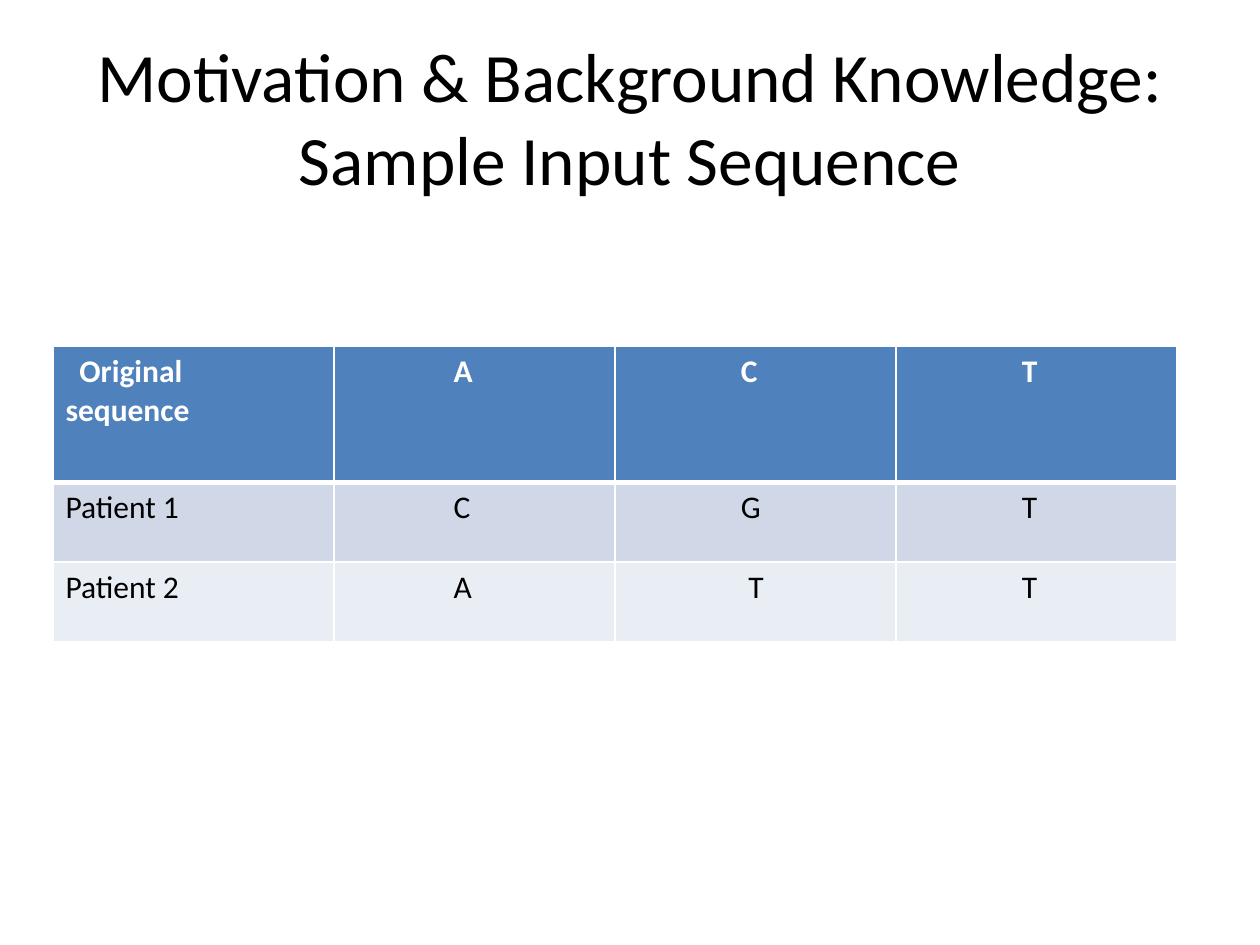
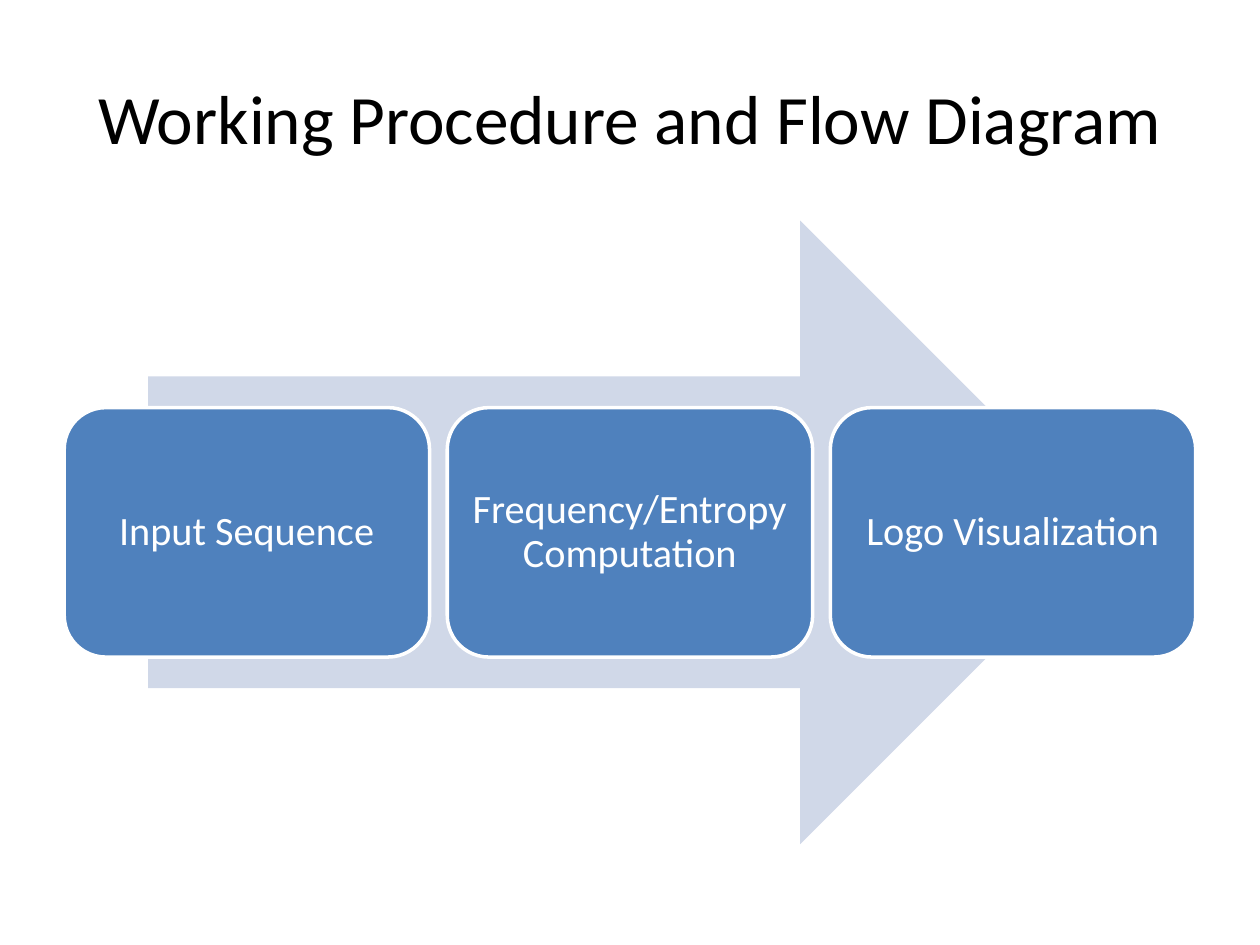
"""Two slides on sequence analysis: a sample input table and a flow diagram."""
from dataclasses import dataclass

import pptx
import pptx.dml.color
import pptx.enum.shapes
import pptx.enum.text
import pptx.oxml
import pptx.oxml.ns
import pptx.util
from pptx.util import Inches

ALIGN = pptx.enum.text.PP_ALIGN
ANCHOR = pptx.enum.text.MSO_ANCHOR
SHAPE = pptx.enum.shapes.MSO_SHAPE


@dataclass(frozen=True)
class Theme:
    """Colours, font and type sizes shared by the slides."""
    font: str = "Calibri"
    ink: str = "000000"
    paper: str = "FFFFFF"
    accent: str = "4F81BD"
    tint: str = "D0D8E8"
    pale: str = "E9EDF4"
    title_size: float = 39.6
    table_size: float = 18
    step_size: float = 23
    thin: float = 1
    outline: float = 2
    thick: float = 3


THEME = Theme()


@dataclass(frozen=True)
class Box:
    """A region of a slide, in inches."""
    left: float
    top: float
    width: float
    height: float

    def lengths(self):
        """Return left, top, width and height as lengths."""
        return [Inches(v) for v in (self.left, self.top, self.width, self.height)]


TITLE_BOX = Box(0.5, 0.3, 9, 1.25)
TABLE_BOX = Box(0.42, 2.75, 8.92, 2.34)
FLOW_BOX = Box(0.5, 1.75, 9, 4.95)


def apply(target, values):
    """Set each attribute named in a dict of format values."""
    for name, value in values.items():
        setattr(target, name, value)


def rgb(colour):
    """Turn a hex string into a colour."""
    return pptx.dml.color.RGBColor.from_string(colour)


def fill_with(target, colour):
    """Give a shape or a cell a solid fill."""
    target.fill.solid()
    target.fill.fore_color.rgb = rgb(colour)


def write(frame, text, size, colour, bold=False, **para_format):
    """Write one paragraph; a vertical tab in the text breaks the line."""
    frame.text = text
    para = frame.paragraphs[0]
    apply(para, para_format)
    for span in para.runs:
        apply(span.font, {"name": THEME.font, "size": pptx.util.Pt(size), "bold": bold})
        span.font.color.rgb = rgb(colour)
    return para


def add_titled_slide(deck, text):
    """Add a title-only slide with its title placed and formatted."""
    slide = deck.slides.add_slide(deck.slide_layouts.get_by_name("Title Only"))
    title = slide.shapes.title
    apply(title, dict(zip(("left", "top", "width", "height"), TITLE_BOX.lengths())))
    apply(title.text_frame, {"word_wrap": True, "vertical_anchor": ANCHOR.MIDDLE,
                             "auto_size": pptx.enum.text.MSO_AUTO_SIZE.NONE})
    write(title.text_frame, text, THEME.title_size, THEME.ink, alignment=ALIGN.CENTER)
    return slide


def set_borders(cell, widths):
    """Draw the left, right, top and bottom borders of a cell."""
    properties = cell._tc.get_or_add_tcPr()
    for place, (side, width) in enumerate(zip("LRTB", widths)):
        properties.insert(place, pptx.oxml.parse_xml(
            f'<a:ln{side} {pptx.oxml.ns.nsdecls("a")} w="{pptx.util.Pt(width)}">'
            f'<a:solidFill><a:srgbClr val="{THEME.paper}"/></a:solidFill></a:ln{side}>'))


def add_sequence_table(slide, box, rows, row_shares, column_indents, special_indents):
    """Fill the box with a table; indents give the first-line offset in inches."""
    table = slide.shapes.add_table(len(rows), len(rows[0]), *box.lengths()).table
    for column in table.columns:
        column.width = Inches(box.width / len(rows[0]))
    fills = (THEME.accent, THEME.tint, THEME.pale)
    for r, (texts, share) in enumerate(zip(rows, row_shares)):
        table.rows[r].height = Inches(box.height * share / sum(row_shares))
        header = r == 0
        for c, text in enumerate(texts):
            cell = table.cell(r, c)
            fill_with(cell, fills[r])
            para = write(cell.text_frame, text, THEME.table_size,
                         THEME.paper if header else THEME.ink, bold=header)
            indent = special_indents.get((r, c), column_indents[c])
            properties = para._p.get_or_add_pPr()
            properties.set("marL", "0")
            properties.set("indent", str(Inches(indent)))
            set_borders(cell, (THEME.thin, THEME.thin,
                               THEME.thick if r == 1 else THEME.thin,
                               THEME.thick if header else THEME.thin))


def add_plain_shape(slide, kind, box, colour):
    """Add a filled shape without shadow or outline."""
    shape = slide.shapes.add_shape(kind, *box.lengths())
    shape.shadow.inherit = False
    fill_with(shape, colour)
    shape.line.fill.background()
    return shape


def add_flow(slide, box, steps, gap=0.14, step_width=2.9):
    """Place a wide arrow in the box with a centred row of steps over it."""
    arrow_width = box.width * 0.85
    add_plain_shape(slide, SHAPE.RIGHT_ARROW,
                    Box(box.left + (box.width - arrow_width) / 2, box.top,
                        arrow_width, box.height), THEME.tint)
    row_width = len(steps) * (step_width + gap) - gap
    first_left = box.left + (box.width - row_width) / 2
    for i, text in enumerate(steps):
        step = add_plain_shape(
            slide, SHAPE.ROUNDED_RECTANGLE,
            Box(first_left + i * (step_width + gap), box.top + box.height * 0.3,
                step_width, box.height * 0.4), THEME.accent)
        step.line.color.rgb = rgb(THEME.paper)
        step.line.width = pptx.util.Pt(THEME.outline)
        apply(step.text_frame, {"word_wrap": True, "vertical_anchor": ANCHOR.MIDDLE,
                                "margin_left": Inches(0.1), "margin_right": Inches(0.1),
                                "margin_top": Inches(0.1), "margin_bottom": Inches(0.1)})
        write(step.text_frame, text, THEME.step_size, THEME.paper,
              alignment=ALIGN.CENTER, line_spacing=0.9)


def main():
    """Build and save the deck."""
    deck = pptx.Presentation()
    apply(deck, {"slide_width": Inches(10), "slide_height": Inches(7.5)})

    sample = add_titled_slide(
        deck, "Motivation & Background Knowledge:\vSample Input Sequence")
    add_sequence_table(
        sample, TABLE_BOX,
        rows=[("Original\vsequence", "A", "C", "T"),
              ("Patient 1", "C", "G", "T"),
              ("Patient 2", "A", "T", "T")],
        row_shares=(1.08, 0.63, 0.63),
        column_indents=(0, 0.85, 0.9, 0.9),
        special_indents={(0, 0): 0.11, (2, 2): 0.96})

    procedure = add_titled_slide(deck, "Working Procedure and Flow Diagram")
    add_flow(procedure, FLOW_BOX,
             ("Input Sequence", "Frequency/Entropy Computation", "Logo Visualization"))

    deck.save("out.pptx")


main()
